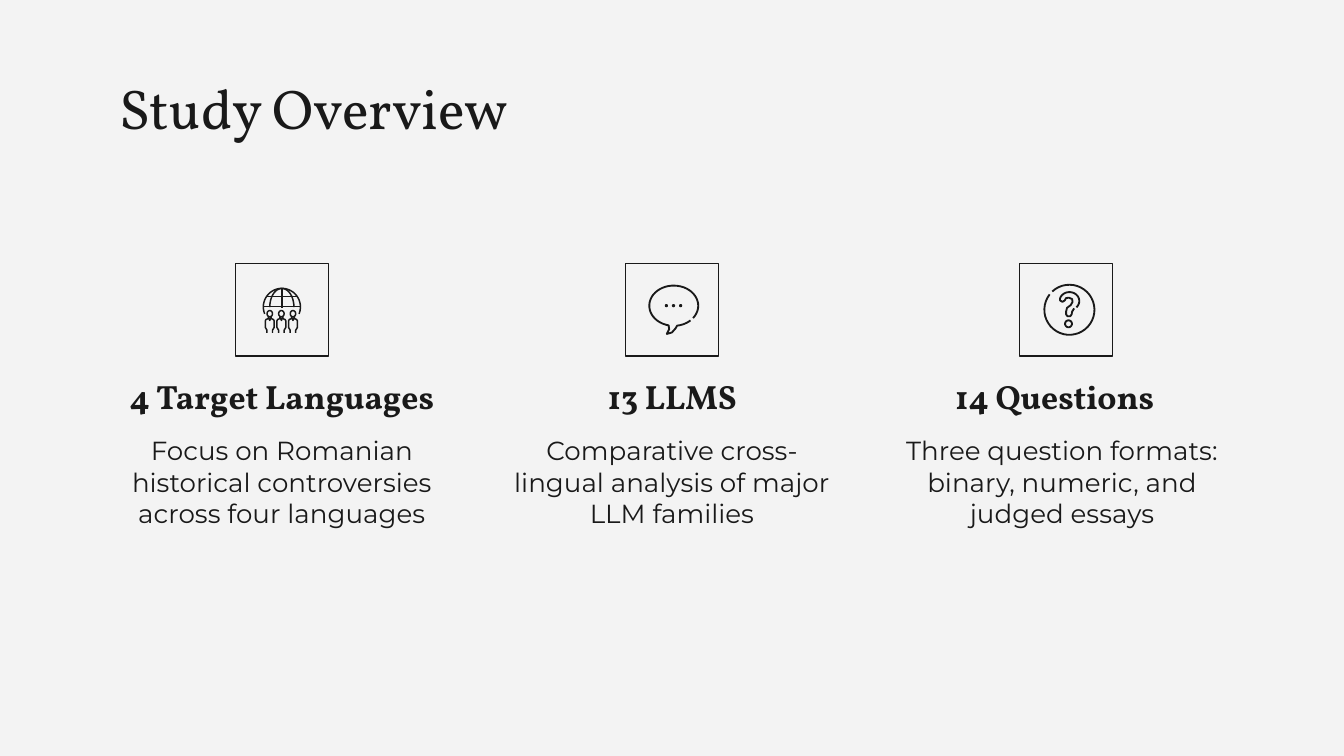
from math import cos, radians, sin

from pptx import Presentation
from pptx.dml.color import RGBColor
from pptx.enum.shapes import MSO_SHAPE as Shape
from pptx.enum.text import MSO_ANCHOR as Anchor, PP_ALIGN as Align
from pptx.util import Inches, Pt

INK = RGBColor(0x19, 0x19, 0x19)
PAPER = RGBColor(0xF3, 0xF3, 0xF3)
SERIF, SANS = "Vollkorn", "Montserrat"
SLIDE_WIDTH = 10
SLIDE_HEIGHT = SLIDE_WIDTH * 9 / 16
MARGIN = 2 / 2.54
CONTENT_WIDTH = SLIDE_WIDTH - 2 * MARGIN
COLUMN_WIDTH = 2.62
COLUMN_STEP = (CONTENT_WIDTH - COLUMN_WIDTH) / 2
FRAME_SIZE = 0.69


def add_text(slide, text, box, font=SANS, size=14, bold=False,
             align=Align.CENTER, right_inset=0.1):
    """Place one formatted paragraph in a box given in inches."""
    frame = slide.shapes.add_textbox(*map(Inches, box)).text_frame
    frame.word_wrap = True
    frame.vertical_anchor = Anchor.MIDDLE
    frame.margin_left = frame.margin_top = frame.margin_bottom = Inches(0.1)
    frame.margin_right = Inches(right_inset)
    paragraph = frame.paragraphs[0]
    paragraph.alignment = align
    run = paragraph.add_run()
    run.text = text
    run.font.name, run.font.size, run.font.bold = font, Pt(size), bold
    run.font.color.rgb = INK


def arc(x, y, rx, ry, start=0, end=360, steps=40):
    """Return points along an elliptical arc, with angles in degrees."""
    angles = [radians(start + (end - start) * i / steps) for i in range(steps + 1)]
    return [(x + rx * cos(a), y + ry * sin(a)) for a in angles]


def draw_stroke(slide, box, points, filled=False, width=1):
    """Draw a path whose points are percentages of the box."""
    left, top, box_width, box_height = box
    spots = [(Inches(left + box_width * x / 100), Inches(top + box_height * y / 100))
             for x, y in points]
    builder = slide.shapes.build_freeform(*spots[0])
    builder.add_line_segments(spots[1:], close=spots[0] == spots[-1])
    stroke = builder.convert_to_shape()
    stroke.shadow.inherit = False
    if filled:
        stroke.fill.solid()
        stroke.fill.fore_color.rgb = INK
        stroke.line.fill.background()
    else:
        stroke.fill.background()
        stroke.line.color.rgb = INK
        stroke.line.width = Pt(width)


def draw_globe(slide, box):
    """Draw a globe above three people."""
    globe = [
        arc(50, 47, 20, 20, 158, 382),
        arc(50, 47, 13, 20, 180, 360),
        [(50, 27), (50, 48)],
        [(33, 35.5), (67, 35.5)],
        [(30, 46.5), (70, 46.5)],
    ]
    for points in globe:
        draw_stroke(slide, box, points, width=0.8)
    half = [(1.5, 57.5), (1.5, 59.5), (4, 60.5), (4.8, 62), (4.8, 69), (3, 72), (3, 75)]
    body = [(-x, y) for x, y in reversed(half)] + [(0, 61.5)] + half
    for center in (37, 49.5, 62):
        draw_stroke(slide, box, arc(center, 54.3, 2.9, 3.3), width=0.8)
        draw_stroke(slide, box, [(center + x, y) for x, y in body], width=0.8)


def draw_bubble(slide, box):
    """Draw a speech bubble with three dots."""
    tail = [(47, 71), (44.5, 76), (50, 74.5), (54, 70)]
    oval = (52, 45.6, 26.4, 21.7)
    draw_stroke(slide, box, arc(*oval, 38, -258) + tail + arc(*oval, 82, 47))
    for x in (44, 51.7, 59.4):
        draw_stroke(slide, box, arc(x, 45.6, 1.7, 1.7), filled=True)


def draw_question(slide, box):
    """Draw a question mark inside an open ring."""
    hook = [(43.5, 40), (46, 41.5), (48.5, 40), (50, 37.5), (53, 37), (56.5, 38.5),
            (57, 41.5), (55, 45), (51, 48), (50, 52), (50, 55), (51.5, 57),
            (54.5, 57), (56, 55), (56.5, 52), (58.7, 48.6)]
    draw_stroke(slide, box, arc(53.6, 50, 27, 27, -133, 218))
    draw_stroke(slide, box, arc(53.6, 40.6, 10.6, 9.6, 45, -165) + hook)
    draw_stroke(slide, box, arc(52.6, 65.2, 3.7, 3.7))


def add_column(slide, box, heading, detail, draw_icon, icon_shift=0, right_inset=0.1):
    """Stack a framed icon, a heading and its detail in the box."""
    left, top, width, height = box
    icon_left = left + (width - FRAME_SIZE) / 2 + icon_shift
    icon_box = (icon_left, top, FRAME_SIZE, FRAME_SIZE)
    frame = slide.shapes.add_shape(Shape.RECTANGLE, *map(Inches, icon_box))
    frame.shadow.inherit = False
    frame.fill.background()
    frame.line.color.rgb = INK
    frame.line.width = Pt(0.75)
    draw_icon(slide, icon_box)
    add_text(slide, heading, (left, top + 0.79, width, 0.39), font=SERIF, size=18,
             bold=True, right_inset=right_inset)
    add_text(slide, detail, (left, top + 1.17, width, height - 1.17))


def main():
    """Build the study overview slide."""
    deck = Presentation()
    deck.slide_width, deck.slide_height = Inches(SLIDE_WIDTH), Inches(SLIDE_HEIGHT)
    slide = deck.slides.add_slide(deck.slide_layouts[6])
    slide.background.fill.solid()
    slide.background.fill.fore_color.rgb = PAPER
    add_text(slide, "Study Overview", (MARGIN, 0.48, CONTENT_WIDTH, 0.63),
             font=SERIF, size=30, align=Align.LEFT)
    columns = [
        ("4 Target Languages",
         "Focus on Romanian historical controversies across four languages",
         draw_globe),
        ("13 LLMS",
         "Comparative cross-lingual analysis of major LLM families",
         draw_bubble),
        ("14 Questions",
         "Three question formats: binary, numeric, and judged essays",
         draw_question, 0.03, 0.21),
    ]
    for index, column in enumerate(columns):
        box = (MARGIN + index * COLUMN_STEP, 1.96, COLUMN_WIDTH, 2.08)
        add_column(slide, box, *column)
    deck.save("out.pptx")


if __name__ == "__main__":
    main()
